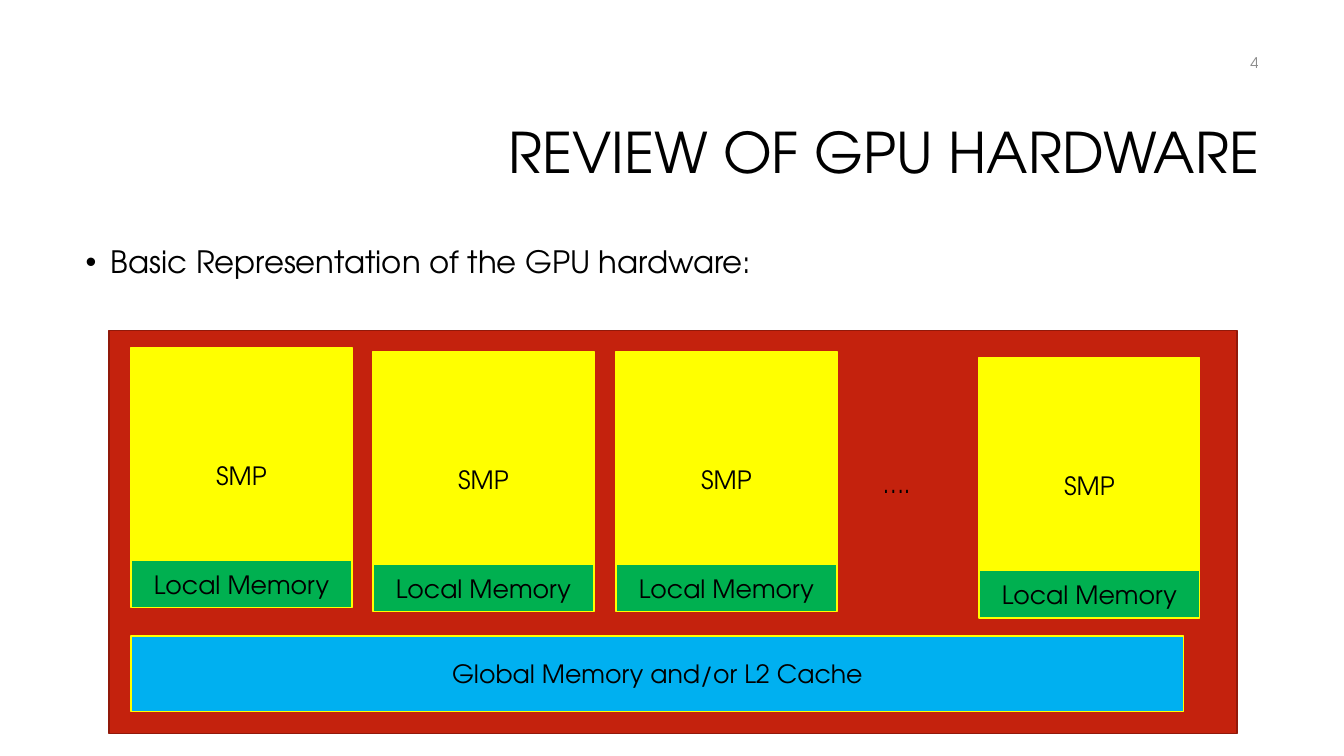
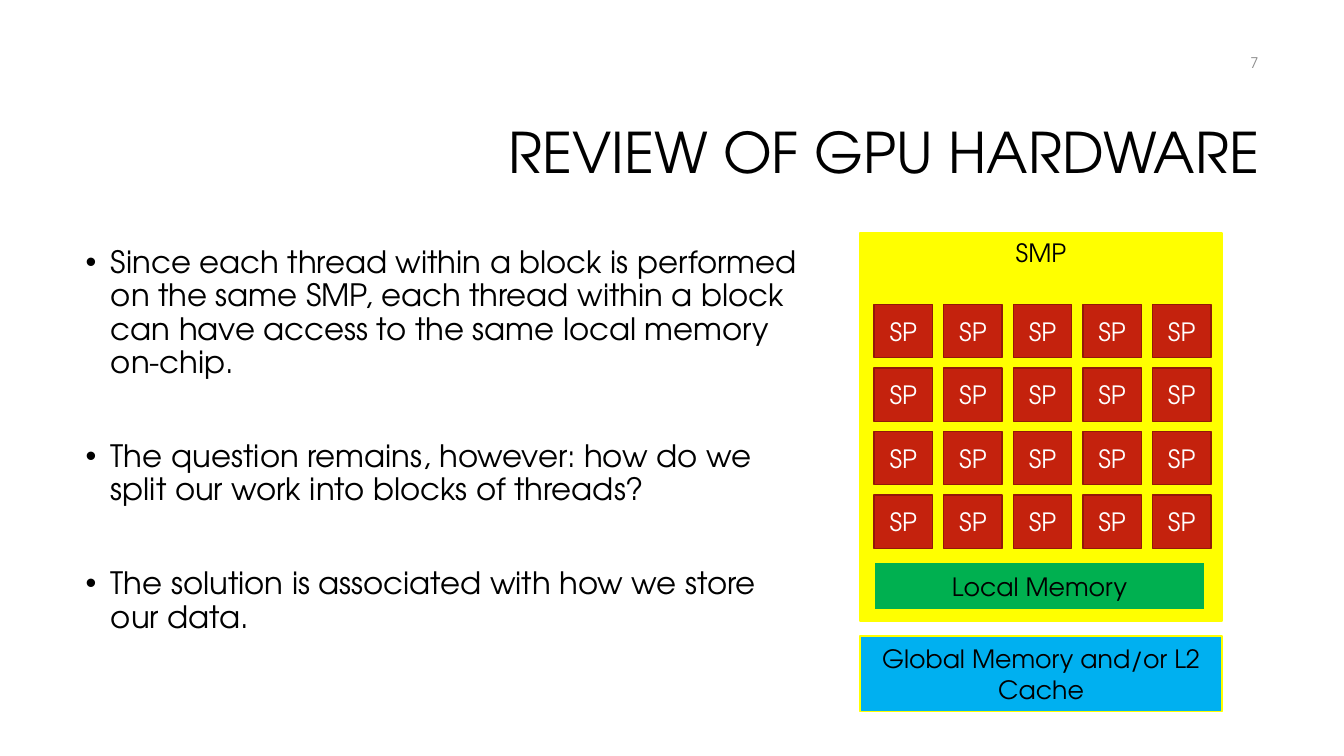
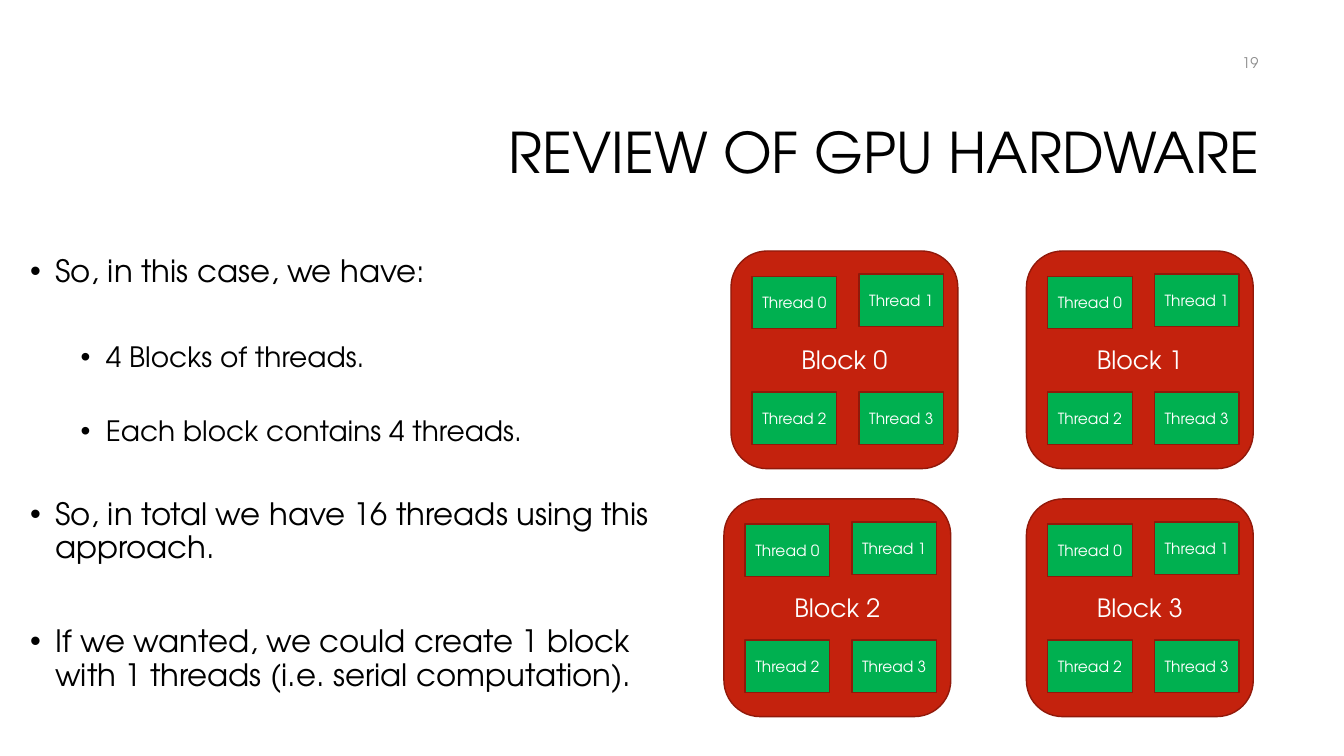
"""Build three slides that review GPU hardware, blocks and threads."""
from dataclasses import dataclass

from lxml.etree import SubElement
from pptx import Presentation
from pptx.dml.color import RGBColor as Color
from pptx.enum.shapes import MSO_SHAPE as Shape
from pptx.enum.text import MSO_ANCHOR as Anchor, MSO_AUTO_SIZE as AutoSize, PP_ALIGN as Align
from pptx.oxml.ns import qn
from pptx.util import Inches, Pt


@dataclass(frozen=True)
class Theme:
    font: str = "TeX Gyre Adventor"
    black: str = "000000"
    white: str = "FFFFFF"
    grey: str = "8C8C8C"
    red: str = "C4220D"
    dark_red: str = "91190A"
    yellow: str = "FFFF00"
    green: str = "00B050"
    blue: str = "00B0F0"
    title_size: float = 40
    body_sizes: tuple = (22, 20)
    label_size: float = 18
    thread_size: float = 11
    number_size: float = 10.5


theme = Theme()


def write(paragraph, text, size, color=theme.black, **formats):
    run = paragraph.add_run()
    run.text = text
    run.font.color.rgb = Color.from_string(color)
    for name, value in {"name": theme.font, "size": Pt(size)}.items():
        setattr(run.font, name, value)
    for name, value in formats.items():
        setattr(paragraph, name, value)


def add_box(slide, place, fill, line, text="", color=theme.black, size=theme.label_size,
            kind=Shape.RECTANGLE, anchor=Anchor.MIDDLE):
    shape = slide.shapes.add_shape(kind, *map(Inches, place))
    shape.shadow.inherit = False
    shape.fill.solid()
    shape.fill.fore_color.rgb = Color.from_string(fill)
    shape.line.color.rgb = Color.from_string(line)
    shape.line.width = Pt(1)
    frame = shape.text_frame
    frame_format = {"word_wrap": True, "vertical_anchor": anchor,
                    "margin_left": Inches(0.05), "margin_right": Inches(0.05)}
    for name, value in frame_format.items():
        setattr(frame, name, value)
    if text:
        write(frame.paragraphs[0], text, size, color, alignment=Align.CENTER)


presentation = Presentation()
presentation.slide_width = Inches(13.33)
presentation.slide_height = Inches(7.5)

title_text = "REVIEW OF GPU HARDWARE"
contents = [
    ("4", (0.75, 2.4, 11.83, 4.4), [(0, 10, "Basic Representation of the GPU hardware:")]),
    ("7", (0.75, 2.4, 7.28, 4.4), [
        (0, 10, "Since each thread within a block is performed on the same SMP, each thread "
                "within a block can have access to the same local memory on-chip."),
        (0, 43.5, "The question remains, however: how do we split our work into blocks of threads?"),
        (0, 43.5, "The solution is associated with how we store our data."),
    ]),
    ("19", (0.2, 2.49, 6.61, 4.63), [
        (0, 10, "So, in this case, we have:"),
        (1, 38.5, "4 Blocks of threads."),
        (1, 31.5, "Each block contains 4 threads."),
        (0, 36.5, "So, in total we have 16 threads using this approach."),
        (0, 43.5, "If we wanted, we could create 1 block with 1 threads (i.e. serial computation)."),
    ]),
]

slides = []
for number, body_place, bullets in contents:
    slide = presentation.slides.add_slide(presentation.slide_layouts[1])
    slides.append(slide)
    title, body = slide.placeholders
    number_box = slide.shapes.add_textbox(0, 0, 0, 0)
    for shape, place, anchor in (
        (title, (3.17, 0.84, 9.42, 1.41), Anchor.MIDDLE),
        (body, body_place, Anchor.TOP),
        (number_box, (9.58, 0.42, 3, 0.4), Anchor.MIDDLE),
    ):
        for name, value in zip(("left", "top", "width", "height"), place):
            setattr(shape, name, Inches(value))
        frame_format = {"word_wrap": True, "auto_size": AutoSize.NONE, "vertical_anchor": anchor}
        for name, value in frame_format.items():
            setattr(shape.text_frame, name, value)

    write(title.text_frame.paragraphs[0], title_text, theme.title_size,
          alignment=Align.RIGHT, line_spacing=0.9)
    write(number_box.text_frame.paragraphs[0], number, theme.number_size, theme.grey,
          alignment=Align.RIGHT)

    for index, (level, gap, text) in enumerate(bullets):
        frame = body.text_frame
        paragraph = frame.add_paragraph() if index else frame.paragraphs[0]
        write(paragraph, text, theme.body_sizes[level], level=level, line_spacing=0.9,
              space_before=Pt(gap), space_after=Pt(0), alignment=Align.LEFT)
        properties = paragraph._p.get_or_add_pPr()
        properties.set("marL", str(Inches(0.25 + 0.5 * level)))
        properties.set("indent", str(Inches(-0.25)))
        SubElement(properties, qn("a:buFont"), typeface="Arial")
        SubElement(properties, qn("a:buChar"), char="•")

hardware, processor, blocks = slides

add_box(hardware, (1.08, 3.28, 11.19, 4), theme.red, theme.dark_red)
for left, top in ((1.3, 3.45), (3.7, 3.49), (6.11, 3.49), (9.71, 3.55)):
    add_box(hardware, (left, top, 2.19, 2.54), theme.yellow, theme.yellow, "SMP")
    add_box(hardware, (left, top + 2.11, 2.19, 0.47), theme.green, theme.yellow, "Local Memory")
ellipsis_box = hardware.shapes.add_textbox(*map(Inches, (8.66, 4.6, 0.91, 0.4)))
ellipsis_box.text_frame.word_wrap = True
write(ellipsis_box.text_frame.paragraphs[0], "….", theme.label_size)

add_box(processor, (8.53, 2.31, 3.59, 3.85), theme.yellow, theme.yellow, "SMP", anchor=Anchor.TOP)
add_box(processor, (8.67, 5.58, 3.28, 0.47), theme.green, theme.yellow, "Local Memory")
for row in range(4):
    for column in range(5):
        place = (8.67 + 0.69 * column, 3.02 + 0.63 * row, 0.58, 0.53)
        add_box(processor, place, theme.red, theme.dark_red, "SP", theme.white)

for slide, left, width in ((hardware, 1.3, 10.44), (processor, 8.53, 3.59)):
    add_box(slide, (left, 6.31, width, 0.75), theme.blue, theme.yellow,
            "Global Memory and/or L2 Cache")

block_corners = ((7.25, 2.49), (10.18, 2.49), (7.18, 4.95), (10.18, 4.95))
thread_offsets = ((0.21, 0.25), (1.27, 0.23), (0.21, 1.4), (1.27, 1.4))
for block, (left, top) in enumerate(block_corners):
    add_box(blocks, (left, top, 2.25, 2.16), theme.red, theme.dark_red, f"Block {block}",
            theme.white, kind=Shape.ROUNDED_RECTANGLE)
    for thread, (across, down) in enumerate(thread_offsets):
        add_box(blocks, (left + across, top + down, 0.84, 0.52), theme.green, theme.dark_red,
                f"Thread {thread}", theme.white, theme.thread_size)

presentation.save("out.pptx")
